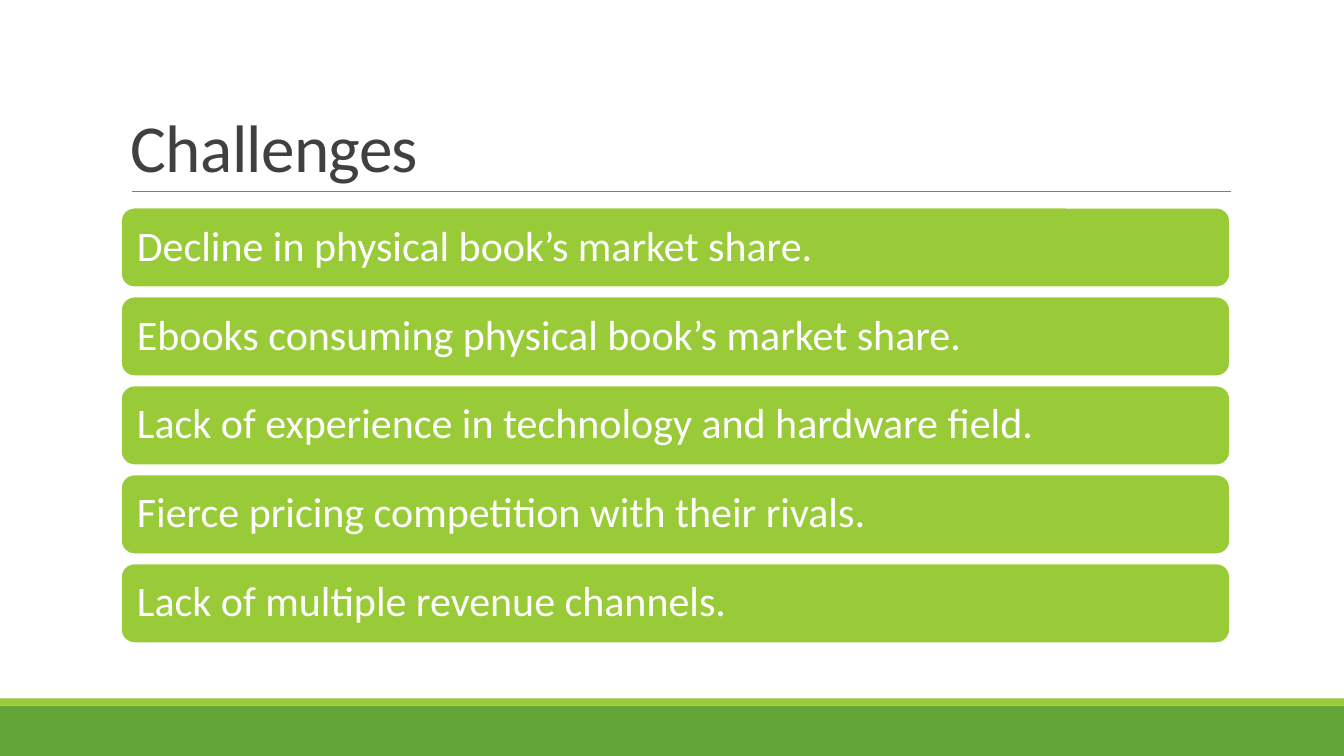
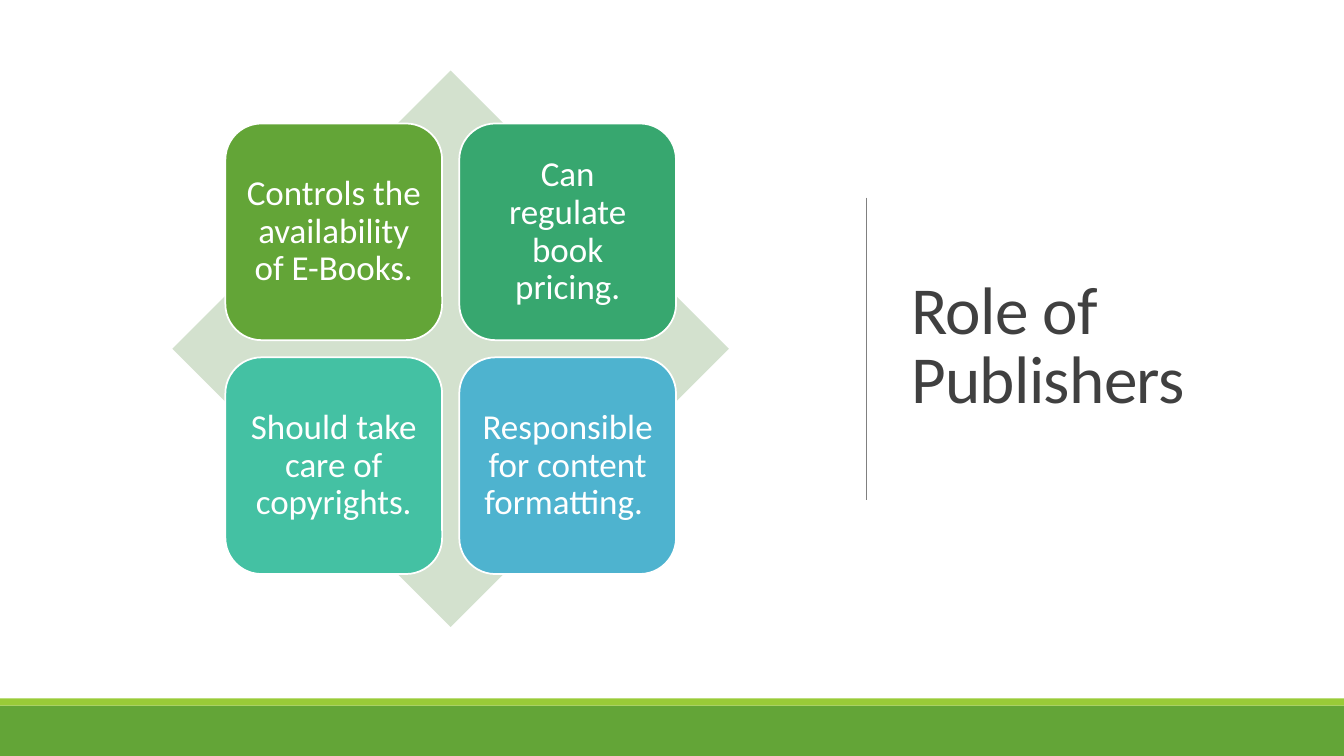
from lxml import etree
from pptx import Presentation
from pptx.dml.color import RGBColor
from pptx.enum.shapes import MSO_CONNECTOR, MSO_SHAPE
from pptx.enum.text import MSO_ANCHOR, PP_ALIGN
from pptx.oxml.ns import qn
from pptx.util import Inches, Pt

RECT, ROUNDED, DIAMOND = MSO_SHAPE.RECTANGLE, MSO_SHAPE.ROUNDED_RECTANGLE, MSO_SHAPE.DIAMOND
STRAIGHT = MSO_CONNECTOR.STRAIGHT
MIDDLE, BOTTOM = MSO_ANCHOR.MIDDLE, MSO_ANCHOR.BOTTOM
LEFT, CENTER = PP_ALIGN.LEFT, PP_ALIGN.CENTER

WHITE = RGBColor(0xFF, 0xFF, 0xFF)
INK = RGBColor(0x40, 0x40, 0x40)
RULE_GRAY = RGBColor(0x80, 0x80, 0x80)
LIME = RGBColor(0x99, 0xCB, 0x38)
GREEN = RGBColor(0x63, 0xA5, 0x37)
EMERALD = RGBColor(0x37, 0xA7, 0x6F)
TEAL = RGBColor(0x44, 0xC1, 0xA3)
BLUE = RGBColor(0x4E, 0xB3, 0xCF)
PALE_GREEN = RGBColor(0xD3, 0xE1, 0xCE)

# Content
CHALLENGES = [
    "Decline in physical book’s market share.",
    "Ebooks consuming physical book’s market share.",
    "Lack of experience in technology and hardware field.",
    "Fierce pricing competition with their rivals.",
    "Lack of multiple revenue channels.",
]
ROLES = [
    ("Controls the availability of E-Books.", GREEN),
    ("Can regulate book pricing.", EMERALD),
    ("Should take care of copyrights.", TEAL),
    ("Responsible for content formatting. ", BLUE),
]

# Shared measures, in inches
SLIDE_W, SLIDE_H = 13.33, 7.5
FOOTER_BANDS = [(7, 0.5, GREEN), (6.93, 0.07, LIME)]  # top, height, colour
TITLE_FORMAT = {"size": Pt(48), "name": "Calibri"}
BAR_FORMAT = {"size": Pt(30), "name": "Calibri"}
TILE_FORMAT = {"size": Pt(25), "name": "Calibri"}


def write(shape, text, font_format, color, spacing, align=LEFT, anchor=MIDDLE, inset=None):
    frame = shape.text_frame
    frame.word_wrap = True
    frame.vertical_anchor = anchor
    if inset is not None:
        for side in ("left", "right", "top", "bottom"):
            setattr(frame, f"margin_{side}", Inches(inset))
    paragraph = frame.paragraphs[0]
    paragraph.alignment = align
    paragraph.line_spacing = spacing
    run = paragraph.add_run()
    run.text = text
    for key, value in font_format.items():
        setattr(run.font, key, value)
    run.font.color.rgb = color
    return run


def add_block(slide, kind, box, fill, outlined=False):
    block = slide.shapes.add_shape(kind, *map(Inches, box))
    block.shadow.inherit = False
    block.fill.solid()
    block.fill.fore_color.rgb = fill
    if outlined:
        block.line.color.rgb = WHITE
        block.line.width = Pt(1.25)
    else:
        block.line.fill.background()
    return block


def add_rule(slide, start, end):
    rule = slide.shapes.add_connector(STRAIGHT, *map(Inches, (*start, *end)))
    rule.line.color.rgb = RULE_GRAY
    rule.line.width = Pt(0.5)
    etree.SubElement(rule._element.spPr, qn("a:effectLst"))


def add_title(slide, text, box, anchor):
    title = slide.shapes.add_textbox(*map(Inches, box))
    run = write(title, text, TITLE_FORMAT, INK, 0.85, anchor=anchor)
    run._r.get_or_add_rPr().set("spc", "-50")


def new_slide(deck):
    slide = deck.slides.add_slide(deck.slide_layouts[6])
    for top, height, color in FOOTER_BANDS:
        add_block(slide, RECT, (0, top, SLIDE_W, height), color)
    return slide


def build_challenges(deck):
    slide = new_slide(deck)
    left, width = 1.2, 11
    add_rule(slide, (1.31, 1.9), (12.21, 1.9))
    add_title(slide, "Challenges", (left, 0.31, width, 1.59), BOTTOM)

    # Stacked bars
    first_top, last_top, height = 2.06, 5.59, 0.79
    step = (last_top - first_top) / (len(CHALLENGES) - 1)
    for row, challenge in enumerate(CHALLENGES):
        box = (left, first_top + row * step, width, height)
        bar = add_block(slide, ROUNDED, box, LIME, outlined=True)
        write(bar, challenge, BAR_FORMAT, WHITE, 0.9, inset=0.12)


def build_roles(deck):
    slide = new_slide(deck)
    add_title(slide, "Role of Publishers", (8.94, 0.69, 3.69, 5.53), MIDDLE)
    add_rule(slide, (8.59, 1.96), (8.59, 4.96))

    # Two-by-two tiles centred on a diamond
    left, top, diamond = 1.71, 0.7, 5.52
    tile, gap = 2.15, 0.17
    margin = (diamond - 2 * tile - gap) / 2
    add_block(slide, DIAMOND, (left, top, diamond, diamond), PALE_GREEN)
    for index, (role, color) in enumerate(ROLES):
        row, column = divmod(index, 2)
        x = left + margin + column * (tile + gap)
        y = top + margin + row * (tile + gap)
        block = add_block(slide, ROUNDED, (x, y, tile, tile), color, outlined=True)
        write(block, role, TILE_FORMAT, WHITE, 0.9, align=CENTER, inset=0.1)


def main():
    deck = Presentation()
    deck.slide_width, deck.slide_height = Inches(SLIDE_W), Inches(SLIDE_H)
    build_challenges(deck)
    build_roles(deck)
    deck.save("out.pptx")


if __name__ == "__main__":
    main()
